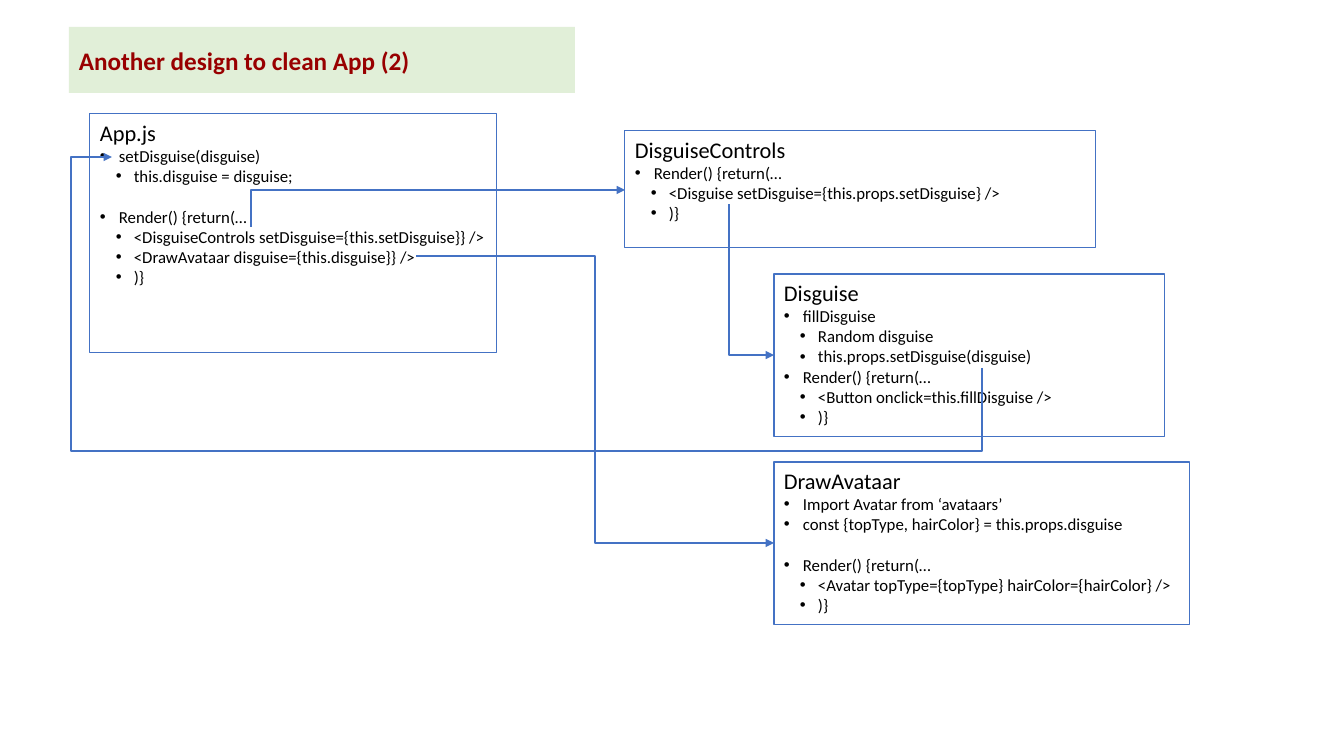
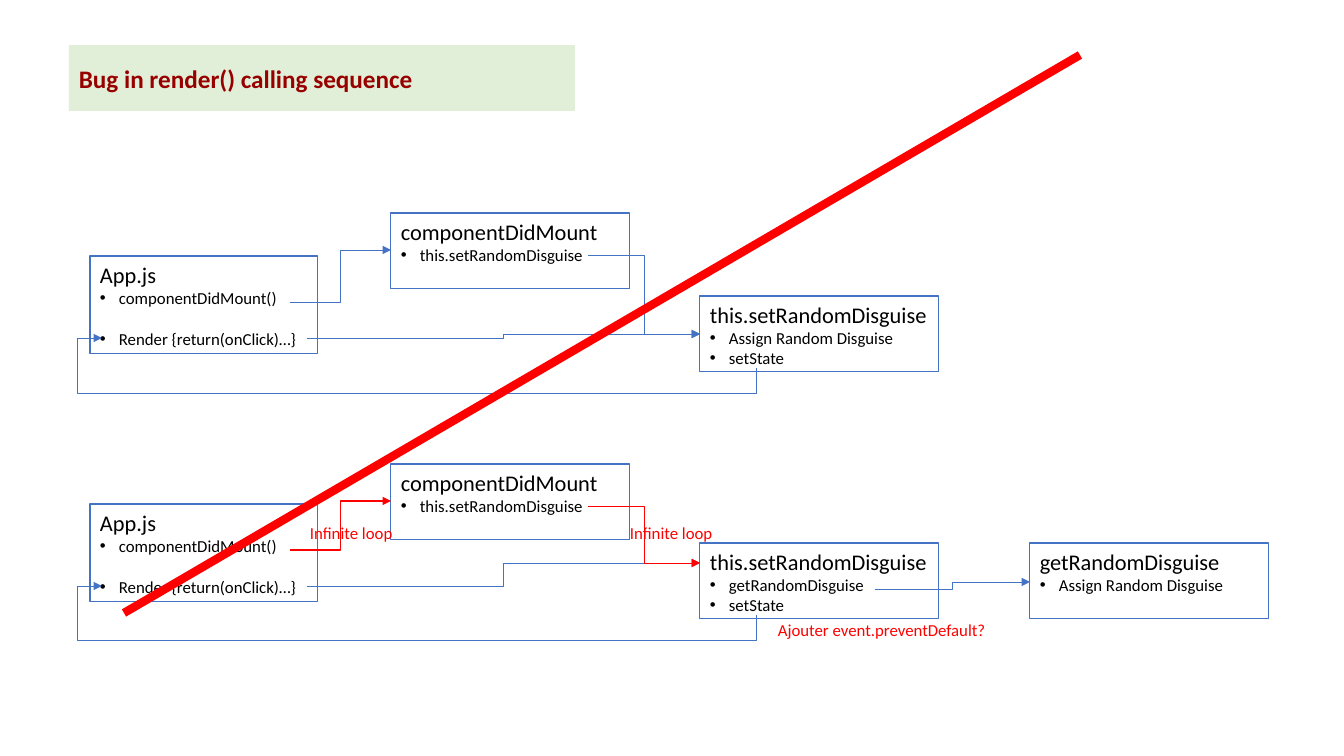
from pptx import Presentation
from pptx.dml.color import RGBColor
from pptx.enum.shapes import MSO_CONNECTOR, MSO_SHAPE
from pptx.enum.text import MSO_ANCHOR, PP_ALIGN
from pptx.oxml.ns import qn
from pptx.oxml.xmlchemy import OxmlElement
from pptx.util import Pt

EMU_PER_PX = 914400 / 100.8
SLIDE_WIDTH, SLIDE_HEIGHT = 1344, 756
RECTANGLE = MSO_SHAPE.RECTANGLE
STRAIGHT, ELBOW = MSO_CONNECTOR.STRAIGHT, MSO_CONNECTOR.ELBOW
TOP, MIDDLE, LEFT = MSO_ANCHOR.TOP, MSO_ANCHOR.MIDDLE, PP_ALIGN.LEFT

FONT = "Calibri"
COLORS = {
    "title": "980000",
    "band": "E1EFD8",
    "text": "000000",
    "blue": "4472C4",
    "red": "FF0000",
}
TITLE_SIZE, HEADING_SIZE, BODY_SIZE = 18, 16, 12
SKIPPED_LINE = 14.65  # points: one line of body text
INDENTS = [(19, 19), (34, 18)]  # px: text margin and bullet hang, by level
GAP = None  # in a list of lines: leave one line free


def px(length):
    return round(length * EMU_PER_PX)


def rgb(name):
    return RGBColor.from_string(COLORS[name])


def add_child(parent, tag, **attributes):
    child = OxmlElement(tag)
    for name, value in attributes.items():
        child.set(name, str(value))
    parent.append(child)
    return child


class Deck:
    """Holds the style and the slide being built."""

    def __init__(self):
        self.presentation = Presentation()
        self.presentation.slide_width = px(SLIDE_WIDTH)
        self.presentation.slide_height = px(SLIDE_HEIGHT)
        self.slide = None

    def new_slide(self, title, title_top):
        self.slide = self.presentation.slides.add_slide(
            self.presentation.slide_layouts[6])
        band = self.rectangle(69, title_top, 506, 66, MIDDLE)
        band.fill.solid()
        band.fill.fore_color.rgb = rgb("band")
        band.line.fill.background()
        self.add_text(band.text_frame.paragraphs[0], title, TITLE_SIZE, "title", bold=True)

    def rectangle(self, left, top, width, height, anchor):
        shape = self.slide.shapes.add_shape(
            RECTANGLE, px(left), px(top), px(width), px(height))
        shape.shadow.inherit = False
        shape.text_frame.word_wrap = True
        shape.text_frame.vertical_anchor = anchor
        return shape

    def add_text(self, paragraph, text, size, color, bold=False):
        paragraph.alignment = LEFT
        run = paragraph.add_run()
        run.text = text
        run.font.name = FONT
        run.font.size = Pt(size)
        run.font.bold = bold
        run.font.color.rgb = rgb(color)

    def module(self, left, top, width, height, heading, lines):
        """Outlined box with a heading and (level, text) bullet lines."""
        box = self.rectangle(left, top, width, height, TOP)
        box.fill.background()
        box.line.color.rgb = rgb("blue")
        box.line.width = Pt(0.75)
        frame = box.text_frame
        self.add_text(frame.paragraphs[0], heading, HEADING_SIZE, "text")
        space_before = 0
        for line in lines:
            if line is GAP:
                space_before = SKIPPED_LINE
                continue
            level, text = line
            paragraph = frame.add_paragraph()
            self.bullet(paragraph, level)
            paragraph.space_before = Pt(space_before)
            self.add_text(paragraph, text, BODY_SIZE, "text")
            space_before = 0

    def bullet(self, paragraph, level):
        margin, hang = INDENTS[level]
        paragraph.level = level
        properties = paragraph._p.get_or_add_pPr()
        properties.set("marL", str(px(margin)))
        properties.set("indent", str(-px(hang)))
        add_child(properties, "a:buFont", typeface="Arial")
        add_child(properties, "a:buChar", char="•")

    def label(self, left, top, width, text):
        box = self.slide.shapes.add_textbox(px(left), px(top), px(width), px(30))
        box.text_frame.word_wrap = False
        self.add_text(box.text_frame.paragraphs[0], text, BODY_SIZE, "red")

    def connector(self, kind, start, end, color, width, arrow=True):
        line = self.slide.shapes.add_connector(
            kind, *(px(value) for value in (*start, *end)))
        line.line.color.rgb = rgb(color)
        line.line.width = Pt(width)
        properties = line.element.spPr
        if arrow:
            add_child(properties.find(qn("a:ln")), "a:tailEnd", type="triangle")
        add_child(properties, "a:effectLst")
        return line

    def step(self, start, end, color="blue", width=0.5):
        """Arrow that runs across, up or down halfway, and across again."""
        self.connector(ELBOW, start, end, color, width)

    def drop(self, start, end, via=None, color="blue", width=0.5):
        """Arrow that leaves vertically; via is the (x, y) of an outer corner."""
        (x1, y1), (x2, y2) = start, end
        center_x, center_y = (x1 + x2) / 2, (y1 + y2) / 2
        half_x, half_y = (x2 - x1) / 2, (y2 - y1) / 2
        # The frame is described before its quarter turn.
        line = self.connector(
            ELBOW,
            (center_x - half_y, center_y + half_x),
            (center_x + half_y, center_y - half_x),
            color, width)
        properties = line.element.spPr
        properties.find(qn("a:xfrm")).set("rot", str(90 * 60000))
        geometry = properties.find(qn("a:prstGeom"))
        geometry.set("prst", "bentConnector4" if via else "bentConnector2")
        if via:
            ratios = (via[1] - y1) / (y2 - y1), (via[0] - x1) / (x2 - x1)
            adjustments = geometry.find(qn("a:avLst"))
            for number, ratio in enumerate(ratios, 1):
                add_child(adjustments, "a:gd", name=f"adj{number}",
                          fmla=f"val {round(ratio * 100000)}")


def build_design(deck):
    deck.new_slide("Another design to clean App (2)", 27)
    deck.module(90, 114, 407, 239, "App.js", [
        (0, "setDisguise(disguise)"),
        (1, "this.disguise = disguise;"),
        GAP,
        (0, "Render() {return(…"),
        (1, "<DisguiseControls setDisguise={this.setDisguise}} />"),
        (1, "<DrawAvataar disguise={this.disguise}} />"),
        (1, ")}"),
    ])
    deck.module(774, 274, 391, 163, "Disguise", [
        (0, "fillDisguise"),
        (1, "Random disguise"),
        (1, "this.props.setDisguise(disguise)"),
        (0, "Render() {return(…"),
        (1, "<Button onclick=this.fillDisguise />"),
        (1, ")}"),
    ])
    deck.module(625, 131, 471, 117, "DisguiseControls", [
        (0, "Render() {return(…"),
        (1, "<Disguise setDisguise={this.props.setDisguise} />"),
        (1, ")}"),
    ])
    deck.module(774, 462, 416, 163, "DrawAvataar", [
        (0, "Import Avatar from ‘avataars’"),
        (0, "const {topType, hairColor} = this.props.disguise"),
        GAP,
        (0, "Render() {return(…"),
        (1, "<Avatar topType={topType} hairColor={hairColor} />"),
        (1, ")}"),
    ])
    deck.drop((251, 227), (625, 190), width=1)
    deck.drop((729, 204), (774, 355), width=1)
    deck.drop((982, 368), (112, 157), via=(71, 451), width=1)
    deck.step((416, 256), (774, 543), width=1)


def add_call_sequence(deck, app_top, mount_top, setter_top, entry_y, first_call,
                      mount_style=("blue", 0.5), setter_color="blue"):
    """App, componentDidMount and setRandomDisguise, with the loop back to App."""
    deck.module(90, app_top, 228, 98, "App.js", [
        (0, "componentDidMount()"), GAP, (0, "Render {return(onClick)…}")])
    deck.module(391, mount_top, 239, 76, "componentDidMount", [
        (0, "this.setRandomDisguise")])
    deck.module(700, setter_top, 239, 76, "this.setRandomDisguise", [
        (0, first_call), (0, "setState")])
    render_y = app_top + 82
    deck.step((290, app_top + 46), (391, mount_top + 37), *mount_style)
    deck.step((307, render_y), (700, entry_y))
    deck.step((588, mount_top + 42), (700, entry_y), setter_color)
    deck.drop((756, setter_top + 72), (102, render_y), via=(77, setter_top + 97))


def build_bug(deck):
    deck.new_slide("Bug in render() calling sequence", 45)
    add_call_sequence(deck, 256, 213, 296, 334, "Assign Random Disguise")
    add_call_sequence(deck, 504, 464, 543, 563, "getRandomDisguise",
                      mount_style=("red", 1), setter_color="red")
    deck.module(1030, 543, 239, 76, "getRandomDisguise", [
        (0, "Assign Random Disguise")])
    deck.step((875, 589), (1030, 582))
    for left in (300, 620):
        deck.label(left, 518, 104, "Infinite loop")
    deck.label(768, 615, 230, "Ajouter event.preventDefault?")
    deck.connector(STRAIGHT, (124, 613), (1080, 55), "red", 6, arrow=False)


def main():
    deck = Deck()
    build_design(deck)
    build_bug(deck)
    deck.presentation.save("out.pptx")


if __name__ == "__main__":
    main()
